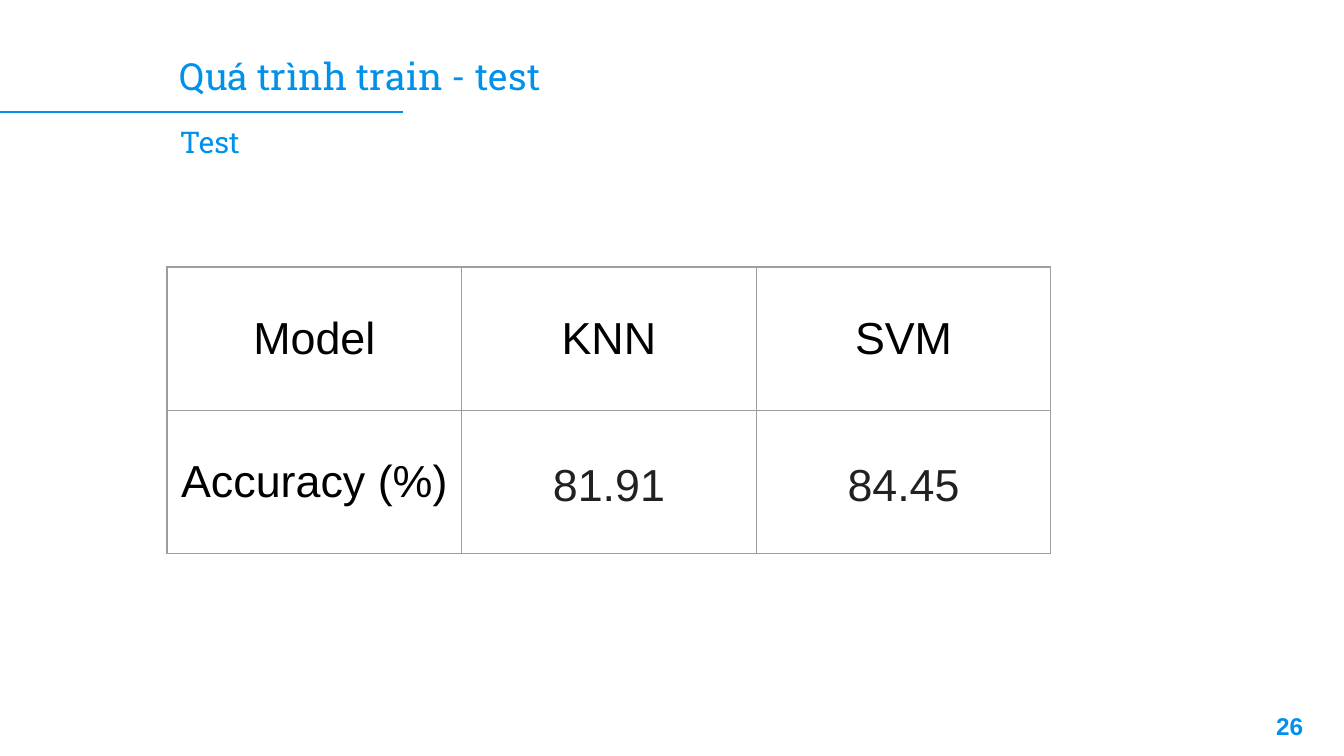
from dataclasses import dataclass

from lxml import etree
from pptx import Presentation
from pptx.dml.color import RGBColor
from pptx.enum.shapes import MSO_CONNECTOR
from pptx.enum.text import MSO_ANCHOR, PP_ALIGN
from pptx.oxml.ns import qn
from pptx.util import Pt

LEFT, CENTER, RIGHT = PP_ALIGN.LEFT, PP_ALIGN.CENTER, PP_ALIGN.RIGHT
TOP, MIDDLE, BOTTOM = MSO_ANCHOR.TOP, MSO_ANCHOR.MIDDLE, MSO_ANCHOR.BOTTOM
STRAIGHT = MSO_CONNECTOR.STRAIGHT
EMU_PER_PX = 914400 / 134.4


@dataclass(frozen=True)
class Theme:
    accent: str = "0091EA"
    ink: str = "000000"
    value: str = "212121"
    border: str = "9E9E9E"
    paper: str = "FFFFFF"
    heading_font: str = "Roboto Slab"
    body_font: str = "Arial"
    title_size: int = 20
    subtitle_size: int = 16
    table_size: int = 24
    number_size: int = 13
    line_width: float = 0.75
    inset: int = 13


THEME = Theme()


def px(length):
    return round(length * EMU_PER_PX)


def color(value):
    return RGBColor.from_string(value)


def write(frame, text, *, font, size, ink, bold=False, align=LEFT, spacing=None):
    para = frame.paragraphs[0]
    para.alignment = align
    if spacing:
        para.line_spacing = spacing
    span = para.add_run()
    span.text = text
    span.font.name = font
    span.font.size = Pt(size)
    span.font.bold = bold
    span.font.color.rgb = color(ink)


def set_margins(area):
    inset = px(THEME.inset)
    area.margin_left = area.margin_right = inset
    area.margin_top = area.margin_bottom = inset


def add_text(page, box, text, anchor=TOP, **style):
    frame = page.shapes.add_textbox(*map(px, box)).text_frame
    frame.word_wrap = True
    frame.vertical_anchor = anchor
    set_margins(frame)
    write(frame, text, **style)


def add_rule(page, left, top, width):
    rule = page.shapes.add_connector(
        STRAIGHT, px(left), px(top), px(left + width), px(top))
    rule.line.color.rgb = color(THEME.accent)
    rule.line.width = Pt(THEME.line_width)
    etree.SubElement(rule.element.spPr, qn("a:effectLst"))


def add_header(page, box, title, subtitle):
    left, top, width, height = box
    style = {"anchor": BOTTOM, "font": THEME.heading_font, "ink": THEME.accent}
    add_text(page, box, title, size=THEME.title_size, **style)
    add_rule(page, 0, top + height + 1, 403)
    add_text(page, (left, top + 61, width, height), subtitle,
             size=THEME.subtitle_size, **style)


def set_borders(cell):
    properties = cell._tc.get_or_add_tcPr()
    for position, side in enumerate(("lnL", "lnR", "lnT", "lnB")):
        line = etree.Element(qn(f"a:{side}"), w=str(Pt(THEME.line_width)))
        fill = etree.SubElement(line, qn("a:solidFill"))
        etree.SubElement(fill, qn("a:srgbClr"), val=THEME.border)
        properties.insert(position, line)


def add_results(page, box, rows):
    left, top, width, height = box
    table = page.shapes.add_table(
        len(rows), len(rows[0]), px(left), px(top), px(width), px(height)).table
    table.first_row = table.horz_banding = False
    for row, texts in enumerate(rows):
        for column, text in enumerate(texts):
            cell = table.cell(row, column)
            is_value = row > 0 and column > 0
            cell.vertical_anchor = MIDDLE
            set_margins(cell)
            cell.fill.solid()
            cell.fill.fore_color.rgb = color(THEME.paper)
            set_borders(cell)
            write(cell.text_frame, text, font=THEME.body_font,
                  size=THEME.table_size, align=CENTER,
                  ink=THEME.value if is_value else THEME.ink,
                  spacing=1.15 if is_value else None)


def add_page_number(page, box, number):
    add_text(page, box, number, font=THEME.body_font, size=THEME.number_size,
             ink=THEME.accent, bold=True, align=RIGHT)


def main():
    deck = Presentation()
    deck.slide_width, deck.slide_height = px(1344), px(756)
    page = deck.slides.add_slide(deck.slide_layouts[6])
    add_page_number(page, (1235, 698, 81, 58), "26")
    add_header(page, (167, 8, 1113, 103), "Quá trình train - test", "Test")
    add_results(page, (167, 267, 884, 287), [
        ("Model", "KNN", "SVM"),
        ("Accuracy (%)", "81.91", "84.45"),
    ])
    deck.save("out.pptx")


if __name__ == "__main__":
    main()
